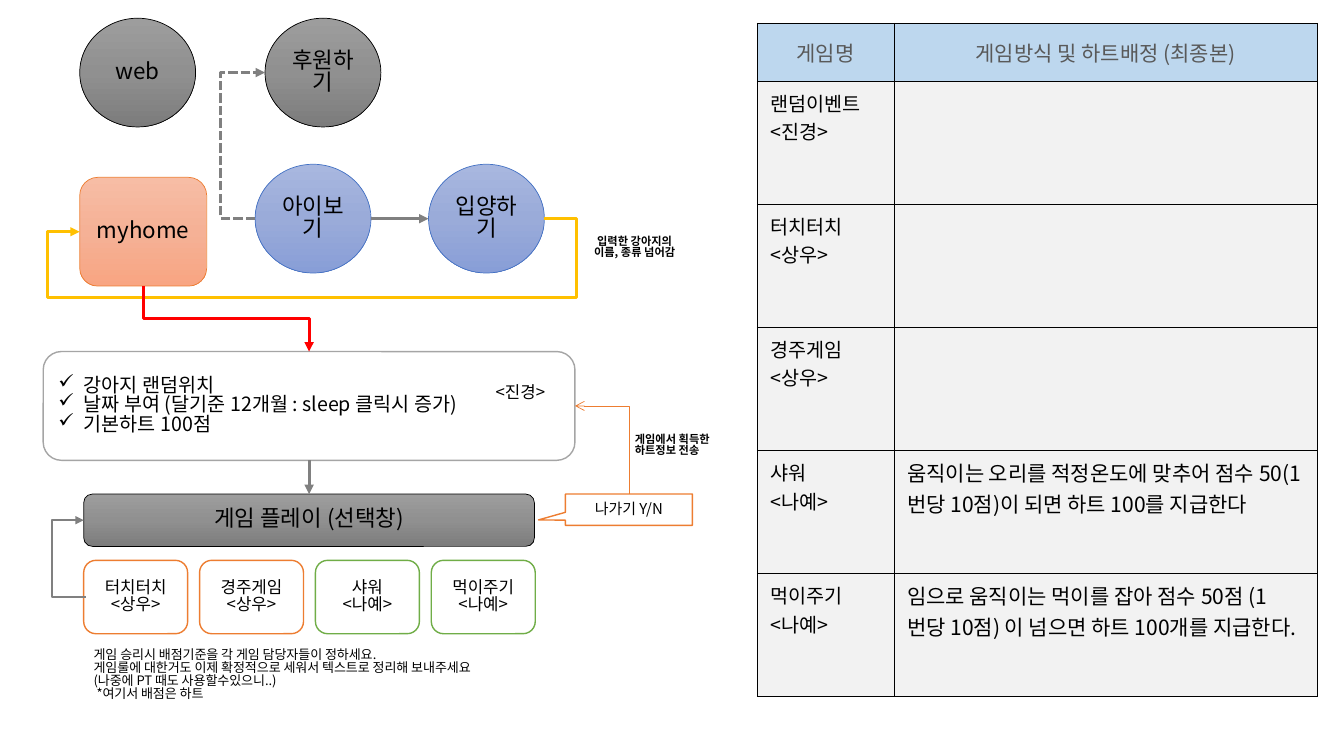
from copy import deepcopy

from lxml import etree
from pptx import Presentation
from pptx.dml.color import RGBColor
from pptx.enum.dml import MSO_LINE
from pptx.enum.shapes import MSO_CONNECTOR, MSO_SHAPE
from pptx.enum.text import MSO_ANCHOR, MSO_AUTO_SIZE, PP_ALIGN
from pptx.oxml.ns import qn
from pptx.util import Cm, Pt

OVAL, ROUND = MSO_SHAPE.OVAL, MSO_SHAPE.ROUNDED_RECTANGLE
CALLOUT = MSO_SHAPE.RECTANGULAR_CALLOUT
LEFT, CENTER = PP_ALIGN.LEFT, PP_ALIGN.CENTER
MIDDLE, TOP = MSO_ANCHOR.MIDDLE, MSO_ANCHOR.TOP
STRAIGHT, ELBOW = MSO_CONNECTOR.STRAIGHT, MSO_CONNECTOR.ELBOW
FIT = MSO_AUTO_SIZE.SHAPE_TO_FIT_TEXT
DASH = MSO_LINE.SQUARE_DOT
FONT = "Noto Sans CJK KR"
color = RGBColor.from_string

GRAY = ("9D9D9D", "909090", "7C7C7C")
BLUE = ("A8B7DF", "9AABD9", "889ED7")
PEACH = ("F7BDA5", "F5B196", "F8A582")
WHITE = ("FFFFFF",)
BLACK, ORANGE, GREEN = "000000", "ED7D31", "70AD47"


def write(frame, lines, size, align=LEFT, ink=BLACK, bold=False, space=0.83):
    """Put each line in its own paragraph."""
    for i, line in enumerate(lines):
        para = frame.add_paragraph() if i else frame.paragraphs[0]
        para.alignment = align
        para.line_spacing = space
        run = para.add_run()
        run.text = line
        run.font.size = Pt(size)
        run.font.bold = bold
        run.font.name = FONT
        run.font.color.rgb = color(ink)
        asian = etree.SubElement(run.font._element, qn("a:ea"))
        asian.set("typeface", FONT)


def link(start, end, ink, width, kind=None, adjust=(), turn=False, head="triangle"):
    """Draw an arrow; turn makes a bent one leave its start vertically."""
    (x1, y1), (x2, y2) = start, end
    if turn:
        mx, my = (x1 + x2) / 2, (y1 + y2) / 2
        dx, dy = (x2 - x1) / 2, (y2 - y1) / 2
        x1, y1, x2, y2 = mx + dy, my - dx, mx - dy, my + dx
    arrow = slide.shapes.add_connector(
        ELBOW if kind else STRAIGHT, Cm(x1), Cm(y1), Cm(x2), Cm(y2))
    arrow.line.color.rgb = color(ink)
    arrow.line.width = Pt(width)
    props = arrow._element.spPr
    if turn:
        props.find(qn("a:xfrm")).set("rot", str(270 * 60000))
    if kind:
        shape = props.find(qn("a:prstGeom"))
        shape.set("prst", kind)
        guides = shape.find(qn("a:avLst"))
        for i, part in enumerate(adjust, 1):
            etree.SubElement(guides, qn("a:gd"), name=f"adj{i}",
                             fmla=f"val {round(part * 100000)}")
    etree.SubElement(props.find(qn("a:ln")), qn("a:tailEnd"), type=head)
    etree.SubElement(props, qn("a:effectLst"))
    return arrow


deck = Presentation()
deck.slide_width, deck.slide_height = Cm(33.87), Cm(19.05)
slide = deck.slides.add_slide(deck.slide_layouts[6])

# Flow boxes: form, place, fill, outline, outline width, size, lines
steps = [
    (OVAL, (2.01, 0.46, 2.92, 2.74), GRAY, BLACK, 0.5, 16, ["web"]),
    (OVAL, (10.8, 4.14, 2.92, 2.74), BLUE, "4472C4", 0.5, 16, ["입양하기"]),
    (OVAL, (6.43, 4.14, 2.92, 2.74), BLUE, "4472C4", 0.5, 16, ["아이보기"]),
    (OVAL, (6.68, 0.46, 2.92, 2.74), GRAY, BLACK, 0.5, 16, ["후원하기"]),
    (ROUND, (2.01, 4.47, 3.2, 2.74), PEACH, ORANGE, 0.5, 16, ["myhome"]),
    (ROUND, (1.09, 8.86, 13.4, 2.74), WHITE, "A5A5A5", 1, 14,
     ["강아지 랜덤위치", "날짜 부여 (달기준 12개월 : sleep 클릭시 증가)", "기본하트 100점"]),
    (ROUND, (2.11, 12.45, 11.36, 1.32), GRAY, BLACK, 0.5, 16, ["게임 플레이 (선택창)"]),
    (CALLOUT, (14.25, 12.45, 3.2, 0.79), WHITE, ORANGE, 1, 10.7, ["나가기 Y/N"]),
]
games = [("터치터치", "<상우>", ORANGE), ("경주게임", "<상우>", ORANGE),
         ("샤워", "<나예>", GREEN), ("먹이주기", "<나예>", GREEN)]
for i, (game, owner, edge) in enumerate(games):
    place = (2.11 + 2.92 * i, 14.12, 2.62, 1.85)
    steps.append((ROUND, place, WHITE, edge, 1, 12, [game, owner]))

boxes = {}
for form, place, tones, edge, width, size, lines in steps:
    box = slide.shapes.add_shape(form, *map(Cm, place))
    box.shadow.inherit = False
    if len(tones) == 1:
        box.fill.solid()
        box.fill.fore_color.rgb = color(tones[0])
    else:
        box.fill.gradient()
        box.fill.gradient_angle = 270
        stops = box._element.spPr.find(".//" + qn("a:gsLst"))
        stops.insert(1, deepcopy(stops[0]))
        for stop, tone, spot in zip(box.fill.gradient_stops, tones, (0, 0.5, 1)):
            stop.color.rgb = color(tone)
            stop.position = spot
    box.line.color.rgb = color(edge)
    box.line.width = Pt(width)
    frame = box.text_frame
    frame.word_wrap = True
    frame.vertical_anchor = MIDDLE
    write(frame, lines, size, LEFT if len(lines) == 3 else CENTER)
    boxes[lines[0]] = box

info, play, leave = (boxes[name] for name in
                     ("강아지 랜덤위치", "게임 플레이 (선택창)", "나가기 Y/N"))
leave.adjustments[0], leave.adjustments[1] = -0.712, 0.326
for para in info.text_frame.paragraphs:
    props = para._p.get_or_add_pPr()
    props.set("marL", str(Cm(0.64)))
    props.set("indent", str(-Cm(0.64)))
    etree.SubElement(props, qn("a:buChar"), char="✓")

# Arrows
support = link((6.43, 5.51), (6.68, 1.83), "808080", 2.25, "bentConnector3", [-3.48])
support.line.dash_style = DASH
link((9.35, 5.51), (10.8, 5.51), "808080", 2.25)
link((13.72, 5.51), (2.01, 5.84), "FFC000", 2.25, "bentConnector5",
     [-0.07, 6, 1.07])
link((3.61, 7.21), (7.79, 8.86), "FF0000", 2.25, "bentConnector3", turn=True)
down = link((7.79, 11.6), (7.79, 12.45), "808080", 2.25)
down.begin_connect(info, 2)
down.end_connect(play, 0)
link((2.16, 15.04), (2.11, 13.11), "808080", 1.5, "bentConnector3", [16.8])
link((15.85, 12.45), (14.49, 10.23), ORANGE, 0.5, "bentConnector2",
     turn=True, head="arrow")

# Free text
notes = [
    ((2.11, 16.23, 11.36, 1.85), 9.3, LEFT, False,
     ["게임 승리시 배점기준을 각 게임 담당자들이 정하세요.",
      "게임룰에 대한거도 이제 확정적으로 세워서 텍스트로 정리해 보내주세요",
      "(나중에 PT 때도 사용할수있으니..)", " *여기서 배점은 하트"]),
    ((12.24, 9.58, 1.96, 0.76), 12, LEFT, False, ["<진경>"]),
    ((15.75, 10.82, 2.72, 0.94), 8, LEFT, True, ["게임에서 획득한", "하트정보 전송"]),
    ((14.6, 5.84, 2.79, 0.94), 8, CENTER, True, ["입력한 강아지의", "이름, 종류 넘어감"]),
]
for place, size, align, bold, lines in notes:
    frame = slide.shapes.add_textbox(*map(Cm, place)).text_frame
    frame.word_wrap = False
    frame.auto_size = FIT
    write(frame, lines, size, align, bold=bold)

# Game table
rows = [
    (["게임명"], ["게임방식 및 하트배정 (최종본)"]),
    (["랜덤이벤트", "<진경>"], []),
    (["터치터치", "<상우>"], []),
    (["경주게임", "<상우>"], []),
    (["샤워", "<나예>"],
     ["움직이는 오리를 적정온도에 맞추어 점수 50(1번당 10점)이 되면 하트 100를 지급한다"]),
    (["먹이주기", "<나예>"],
     ["임으로 움직이는 먹이를 잡아 점수 50점 (1번당 10점) 이 넘으면 하트 100개를 지급한다."]),
]
table = slide.shapes.add_table(len(rows), 2, Cm(19.08), Cm(0.58),
                               Cm(14.12), Cm(16.97)).table
table.first_row = table.horz_banding = False
table.columns[0].width, table.columns[1].width = Cm(3.45), Cm(10.67)
for r, row in enumerate(rows):
    table.rows[r].height = Cm(3.1 if r else 1.47)
    for c, lines in enumerate(row):
        cell = table.cell(r, c)
        cell.margin_left = cell.margin_right = Cm(0.33)
        cell.margin_top = cell.margin_bottom = Cm(0.18)
        cell.vertical_anchor = TOP if r else MIDDLE
        for side in "LRTB":
            edge = etree.SubElement(cell._tc.get_or_add_tcPr(), qn("a:ln" + side),
                                    w=str(Pt(0.25)))
            paint = etree.SubElement(edge, qn("a:solidFill"))
            etree.SubElement(paint, qn("a:srgbClr"), val=BLACK)
        cell.fill.solid()
        cell.fill.fore_color.rgb = color("F2F2F2" if r else "BDD7EE")
        write(cell.text_frame, lines, 14 if r and c == 0 else 15,
              LEFT if r else CENTER, BLACK if r else "595959", space=1.0)

deck.save("out.pptx")
